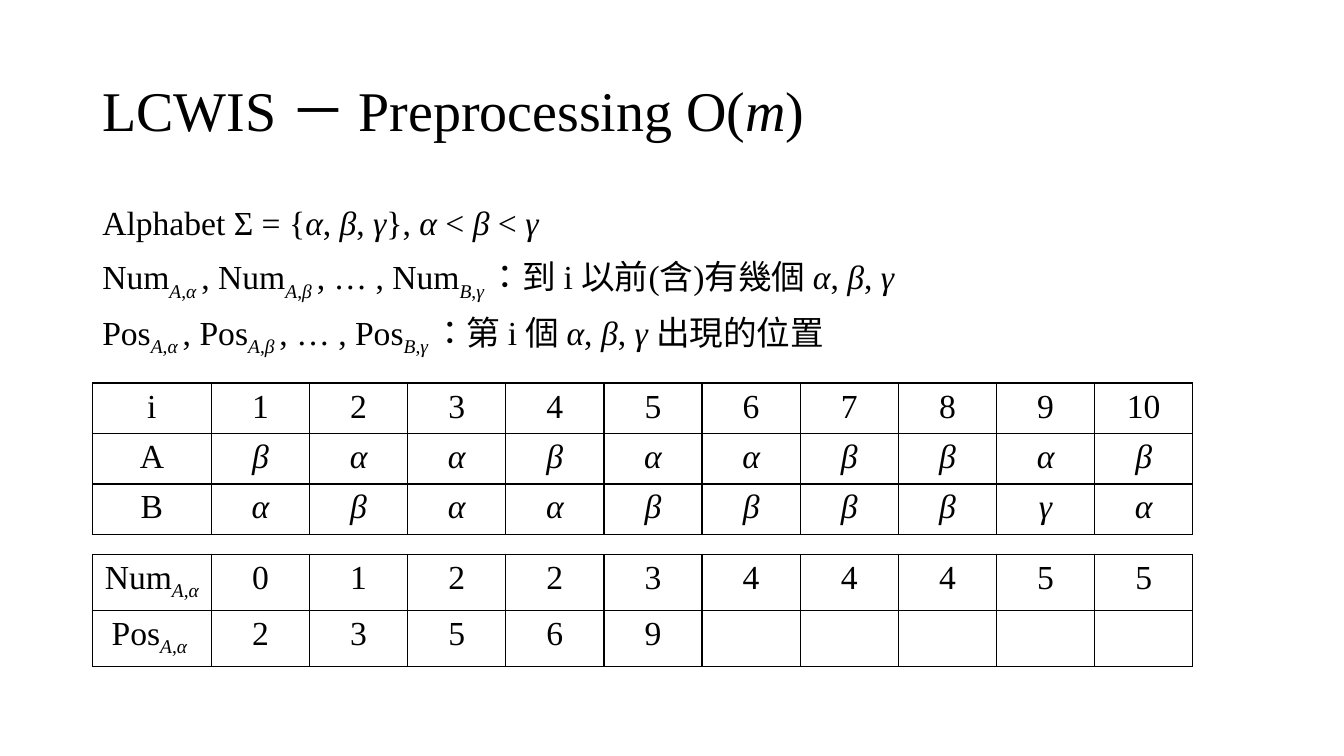
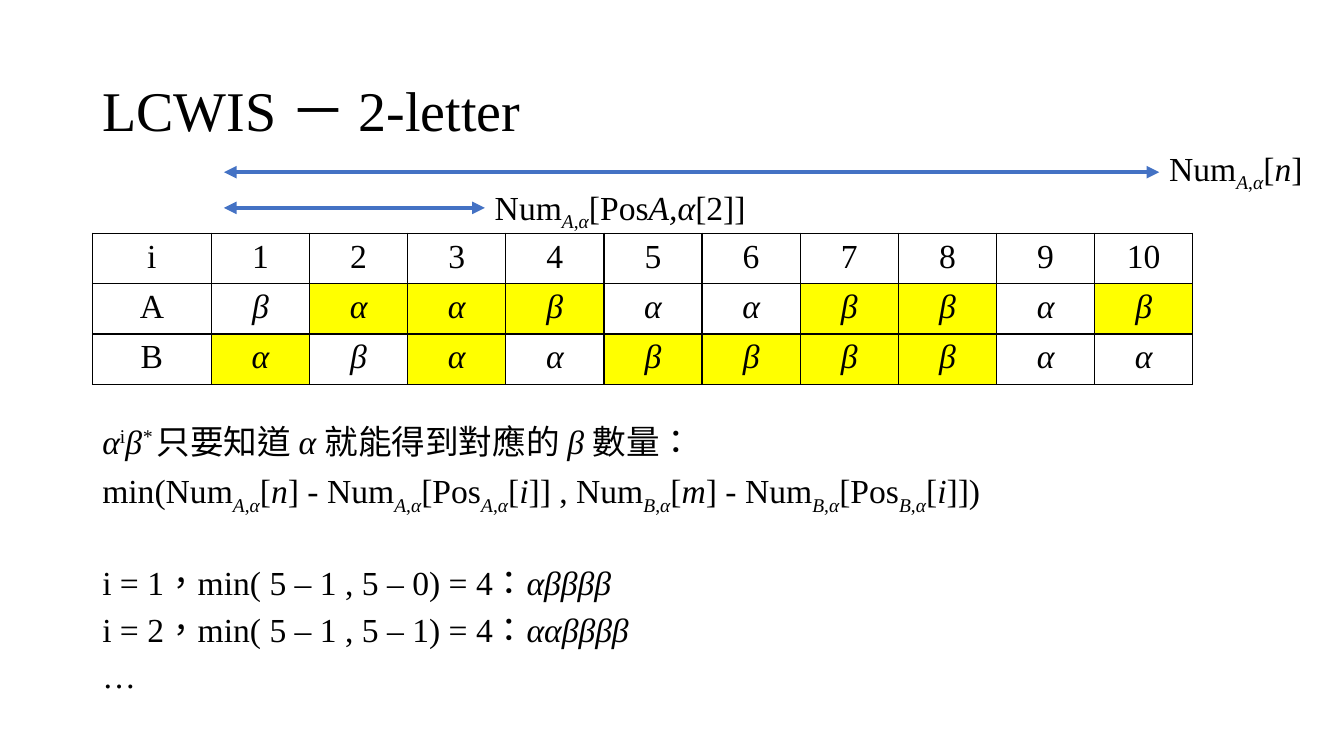
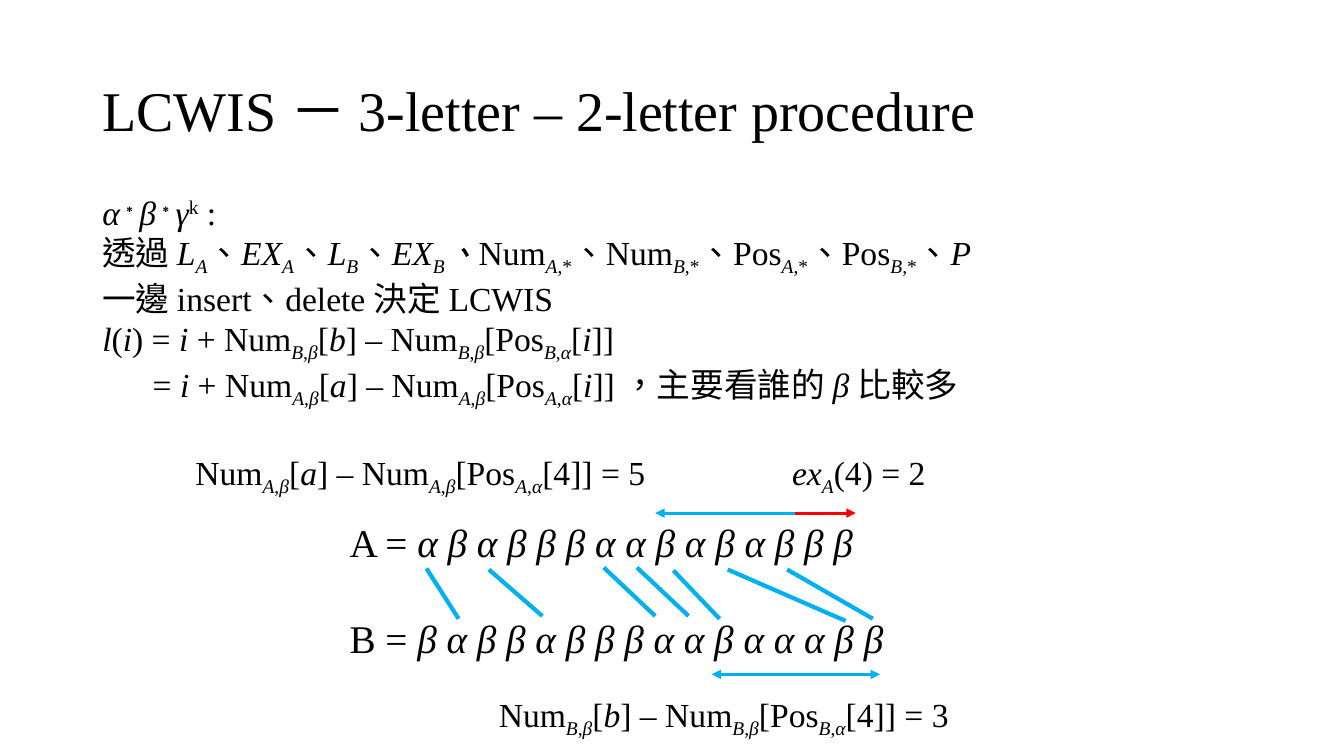
from itertools import groupby

from lxml import etree
from pptx import Presentation
from pptx.dml.color import RGBColor
from pptx.enum import shapes, text
from pptx.oxml import ns
from pptx.util import Pt

FACE = "Times New Roman"
BLACK, WHITE, YELLOW = "000000", "FFFFFF", "FFFF00"
BLUE, SKY, RED = "4472C4", "00B0F0", "FF0000"
LEFT, WIDE = 66, 828
SIZE = 24
COLS = [85] + [70.12] * 10
ROW = 29.5
SHIFT = {"_": -25000, "^": 30000}


def color(code):
    return RGBColor.from_string(code)


def node(parent, tag, **attrs):
    return etree.SubElement(parent, ns.qn(tag), attrs)


def styled(line):
    slant, base = False, 0
    for char in line:
        if char == "|":
            slant = not slant
        elif char in SHIFT:
            base = 0 if base else SHIFT[char]
        else:
            yield char, (slant or char in "αβγ", base)


def write(para, line, size=SIZE):
    for (slant, base), part in groupby(styled(line), lambda pair: pair[1]):
        run = para.add_run()
        run.text = "".join(char for char, _ in part)
        font = run.font
        font.name, font.size, font.italic = FACE, Pt(size), slant
        font.color.rgb = color(BLACK)
        props = run._r.get_or_add_rPr()
        props.set("lang", "zh-TW")
        if base:
            props.set("baseline", str(base))


def fill_frame(frame, lines, size=SIZE, lead=1.0, gap=0, gaps=None, dents=None):
    frame.word_wrap = True
    for k, line in enumerate(lines):
        para = frame.paragraphs[0] if k == 0 else frame.add_paragraph()
        para.alignment = text.PP_ALIGN.LEFT
        para.line_spacing = lead
        if k:
            para.space_before = Pt((gaps or {}).get(k, gap))
        if k in (dents or {}):
            para._p.get_or_add_pPr().set("marL", str(Pt(dents[k])))
        write(para, line, size)


def add_text(slide, x, y, w, h, lines, **style):
    frame = slide.shapes.add_textbox(Pt(x), Pt(y), Pt(w), Pt(h)).text_frame
    fill_frame(frame, lines, **style)
    return frame


def new_slide(deck, title):
    slide = deck.slides.add_slide(deck.slide_layouts[6])
    frame = add_text(slide, LEFT, 28.8, WIDE, 104.4, ["LCWIS － " + title],
                     size=40, lead=0.9)
    frame.vertical_anchor = text.MSO_ANCHOR.MIDDLE
    return slide


def add_line(slide, ends, code, width=3, head=False, tail=False):
    line = slide.shapes.add_connector(
        shapes.MSO_CONNECTOR.STRAIGHT, *[Pt(v) for v in ends])
    line.line.color.rgb = color(code)
    line.line.width = Pt(width)
    stroke = line.line._get_or_add_ln()
    for tag, shown in (("a:headEnd", head), ("a:tailEnd", tail)):
        if shown:
            node(stroke, tag, type="triangle")
    node(line._element.spPr, "a:effectLst")


def add_edges(cell):
    props = cell._tc.get_or_add_tcPr()
    for tag in ("a:lnL", "a:lnR", "a:lnT", "a:lnB"):
        edge = node(props, tag, w=str(Pt(1)))
        node(node(edge, "a:solidFill"), "a:srgbClr", val=BLACK)


def add_grid(slide, y, rows, marks=()):
    grid = slide.shapes.add_table(
        len(rows), len(COLS), Pt(LEFT), Pt(y), Pt(sum(COLS)),
        Pt(ROW * len(rows))).table
    grid.first_row = grid.horz_banding = False
    for col, width in zip(grid.columns, COLS):
        col.width = Pt(width)
    for r, row in enumerate(rows):
        grid.rows[r].height = Pt(ROW)
        for c in range(len(COLS)):
            cell = grid.cell(r, c)
            add_edges(cell)
            if (r, c) in marks:
                cell.fill.solid()
                cell.fill.fore_color.rgb = color(YELLOW)
            else:
                cell.fill.background()
            if c < len(row):
                para = cell.text_frame.paragraphs[0]
                para.alignment = text.PP_ALIGN.CENTER
                write(para, row[c])


def num(seq, char):
    return f"Num_|{seq}|,{char}_"


def pos(seq, char):
    return f"Pos_|{seq}|,{char}_"


def rest(seq, end, at, char="β", dash="–"):
    return f"{num(seq, char)}[|{end}|] {dash} {num(seq, char)}[{pos(seq, 'α')}[{at}]]"


def letter_rows(first, second):
    return [["i", *map(str, range(1, 11))], ["A", *first], ["B", *second]]


def prep_slide(deck):
    slide = new_slide(deck, "Preprocessing O(|m|)")
    counts, spots = (
        f"{f('A', 'α ')}, {f('A', 'β ')}, … , {f('B', 'γ ')}" for f in (num, pos))
    add_text(slide, LEFT, 144, WIDE, 120, [
        "Alphabet Σ = {α, β, γ}, α < β < γ",
        counts + "：到 i 以前(含)有幾個 α, β, γ",
        spots + "：第 i 個 α, β, γ| |出現的位置",
    ], lead=0.9, gap=10)
    add_grid(slide, 273.6, letter_rows("βααβααββαβ", "αβααββββγα"))
    add_grid(slide, 396, [[num("A", "α "), *"0122344455"],
                          [pos("A", "α "), *"23569"]])


def two_slide(deck):
    slide = new_slide(deck, "2-letter")
    marks = {(1, c) for c in (2, 3, 4, 7, 8, 10)}
    marks |= {(2, c) for c in (1, 3, 5, 6, 7, 8)}
    add_grid(slide, 166.5, letter_rows("βααβααββαβ", "αβααββββαα"), marks)
    first, second = (rest(seq, end, "|i|", "α", "-") for seq, end in ("An", "Bm"))
    add_text(slide, LEFT, 302.4, WIDE, 208.8, [
        "α^i^β^|* |^只要知道 α 就能得到對應的 β 數量：",
        f"min({first} , {second})",
        "i = 1，min( 5 – 1 , 5 – 0) = 4：αββββ",
        "i = 2，min( 5 – 1 , 5 – 1) = 4：ααββββ",
        "…",
    ], lead=0.8, gap=10, gaps={2: 42})
    for right, y in ((828, 123), (346.3, 148.5)):
        add_line(slide, (160, y, right, y), BLUE, head=True, tail=True)
    add_text(slide, 828, 102.2, 114.5, 36.7, [num("A", "α") + "[|n|]"], lead=0.9)
    add_text(slide, 346.3, 130.3, 202.3, 36.7,
             [num("A", "α") + "[Pos|A,α|[2]]"], lead=0.9)


def three_slide(deck):
    slide = new_slide(deck, "3-letter – 2-letter procedure")
    add_text(slide, LEFT, 133.2, 822, 152.6, [
        "α^∗^β^∗^γ^k^ :",
        "透過 |L_A_|、|EX_A_|、|L_B_|、|EX_B_、|"
        "Num_|A|,*_、Num_|B|,*_、Pos_|A|,*_、Pos_|B|,*_、|P|",
        "一邊 insert、delete 決定 LCWIS",
        f"|l|(|i|) = |i |+ {rest('B', 'b', '|i|')}",
        f"= |i| + {rest('A', 'a', '|i|')} ，主要看誰的 β| |比較多",
    ], dents={4: 36})
    box = slide.shapes.add_shape(shapes.MSO_SHAPE.RECTANGLE, Pt(242.6), Pt(366.5),
                                 Pt(432.7), Pt(108.7))
    box.shadow.inherit = False
    box.fill.solid()
    box.fill.fore_color.rgb = color(WHITE)
    box.line.fill.background()
    box.text_frame.vertical_anchor = text.MSO_ANCHOR.TOP
    fill_frame(box.text_frame, [
        "A = |" + " ".join("αβαβββααβαβαβββ"),
        "B = |" + " ".join("βαββαβββααβαααββ"),
    ], size=28, gap=35)
    for ends in ((304.6, 406, 327.6, 442), (349.2, 406.8, 387.4, 440),
                 (431.3, 405.4, 468, 440), (455, 405.4, 491.8, 440),
                 (481, 407.5, 514, 442), (519.8, 406.8, 604, 443.5),
                 (562.3, 406.8, 623.5, 442)):
        add_line(slide, ends, SKY)
    add_line(slide, (508.3, 481.7, 628.6, 481.7), SKY, 2.25, head=True, tail=True)
    add_line(slide, (468, 366.5, 568, 366.5), SKY, 2.25, head=True)
    add_line(slide, (568, 366.5, 611.3, 366.5), RED, 2.25, tail=True)
    for x, y, w, label in ((349.2, 491.8, 426, rest("B", "b", 4) + " = 3"),
                           (558.7, 319, 191, "|ex_A_|(4) = 2"),
                           (132.5, 319, 426, rest("A", "a", 4) + " = 5")):
        add_text(slide, x, y, w, 36, [label])


def main():
    deck = Presentation()
    deck.slide_width, deck.slide_height = Pt(960), Pt(540)
    prep_slide(deck)
    two_slide(deck)
    three_slide(deck)
    deck.save("out.pptx")


if __name__ == "__main__":
    main()
